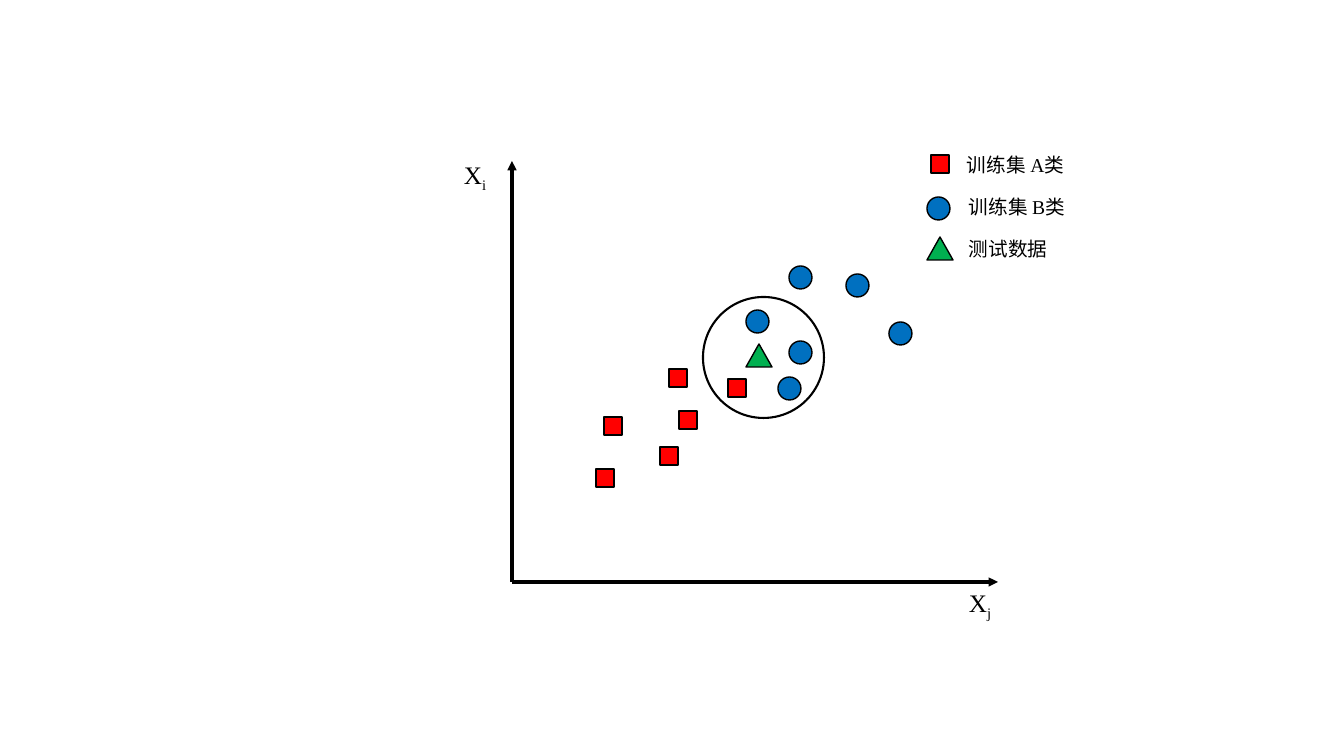
import pptx
import pptx.util
import pptx.dml.color
import pptx.enum.shapes
import pptx.oxml
import pptx.oxml.ns
import lxml.etree

SHAPE = pptx.enum.shapes.MSO_SHAPE
EMU_PER_PX = 914400 / 100.8
COLORS = {"black": "000000", "red": "FF0000", "blue": "0070C0", "green": "00B050"}
LATIN, CHINESE = "Times New Roman", "Noto Sans CJK SC"

# Content: lengths in pixels
MARKERS = {  # class: preset, width, height, fill
    "A": (SHAPE.RECTANGLE, 18, 18, "red"),
    "B": (SHAPE.OVAL, 23, 23, "blue"),
    "test": (SHAPE.ISOSCELES_TRIANGLE, 26, 23, "green"),
}
SAMPLES = {  # class: left, top of every marker
    "A": [(669, 369), (596, 469), (728, 379), (660, 447), (679, 411), (604, 417)],
    "B": [(846, 274), (778, 377), (789, 341), (746, 310), (889, 322), (789, 266)],
    "test": [(746, 344)],
}
NEIGHBOURHOOD = (703, 297, 121, 121)
ORIGIN = (512, 582)
AXES = [  # arrow tip, label position, subscript
    ((512, 161), (454, 154), "i"),
    ((998, 582), (959, 582), "j"),
]
LEGEND = [  # class, marker position, label position, label runs
    ("A", (931, 155), (957, 148), [("训练集 ", CHINESE), ("A", LATIN), ("类", CHINESE)]),
    ("B", (927, 197), (959, 190), [("训练集 ", CHINESE), ("B", LATIN), ("类", CHINESE)]),
    ("test", (927, 237), (959, 232), [("测试数据", CHINESE)]),
]


def px(*lengths):
    return [pptx.util.Emu(round(length * EMU_PER_PX)) for length in lengths]


def rgb(name):
    return pptx.dml.color.RGBColor.from_string(COLORS[name])


def outline(part, points):
    part.line.color.rgb = rgb("black")
    part.line.width = pptx.util.Pt(points)


def add_outlined(shapes, preset, box, points, fill=None):
    part = shapes.add_shape(preset, *px(*box))
    part.shadow.inherit = False
    outline(part, points)
    if fill:
        part.fill.solid()
        part.fill.fore_color.rgb = rgb(fill)
    else:
        part.fill.background()


def add_marker(shapes, kind, position):
    preset, width, height, fill = MARKERS[kind]
    add_outlined(shapes, preset, (*position, width, height), 1, fill)


def add_label(shapes, position, size, points, runs):
    frame = shapes.add_textbox(*px(*position, *size)).text_frame
    frame.word_wrap = True
    for text, typeface, *baseline in runs:
        run = frame.paragraphs[0].add_run()
        run.text = text
        run.font.size = pptx.util.Pt(points)
        run.font.color.rgb = rgb("black")
        run.font.name = typeface
        properties = run._r.get_or_add_rPr()
        east_asian = lxml.etree.SubElement(properties, pptx.oxml.ns.qn("a:ea"))
        east_asian.set("typeface", typeface)
        if baseline:
            properties.set("baseline", str(baseline[0] * 1000))


def add_axis(shapes, tip):
    axis = shapes.add_connector(
        pptx.enum.shapes.MSO_CONNECTOR.STRAIGHT, *px(*ORIGIN, *tip))
    outline(axis, 2.25)
    arrowhead = lxml.etree.SubElement(
        axis.line._get_or_add_ln(), pptx.oxml.ns.qn("a:tailEnd"))
    arrowhead.set("type", "triangle")
    lxml.etree.SubElement(axis._element.spPr, pptx.oxml.ns.qn("a:effectLst"))


deck = pptx.Presentation()
deck.slide_width, deck.slide_height = px(1344, 756)
shapes = deck.slides.add_slide(deck.slide_layouts[6]).shapes

# Axes with their labels
for tip, label_position, subscript in AXES:
    add_axis(shapes, tip)
    add_label(shapes, label_position, (95, 40), 18,
              [("X", LATIN), (subscript, LATIN, -25)])

# Neighbourhood of the test sample, then all samples
add_outlined(shapes, SHAPE.OVAL, NEIGHBOURHOOD, 1.5)
for kind, positions in SAMPLES.items():
    for position in positions:
        add_marker(shapes, kind, position)

# Legend: one group per entry
for kind, marker_position, label_position, runs in LEGEND:
    entry = shapes.add_group_shape().shapes
    add_marker(entry, kind, marker_position)
    add_label(entry, label_position, (192, 34), 14, runs)

deck.save("out.pptx")
